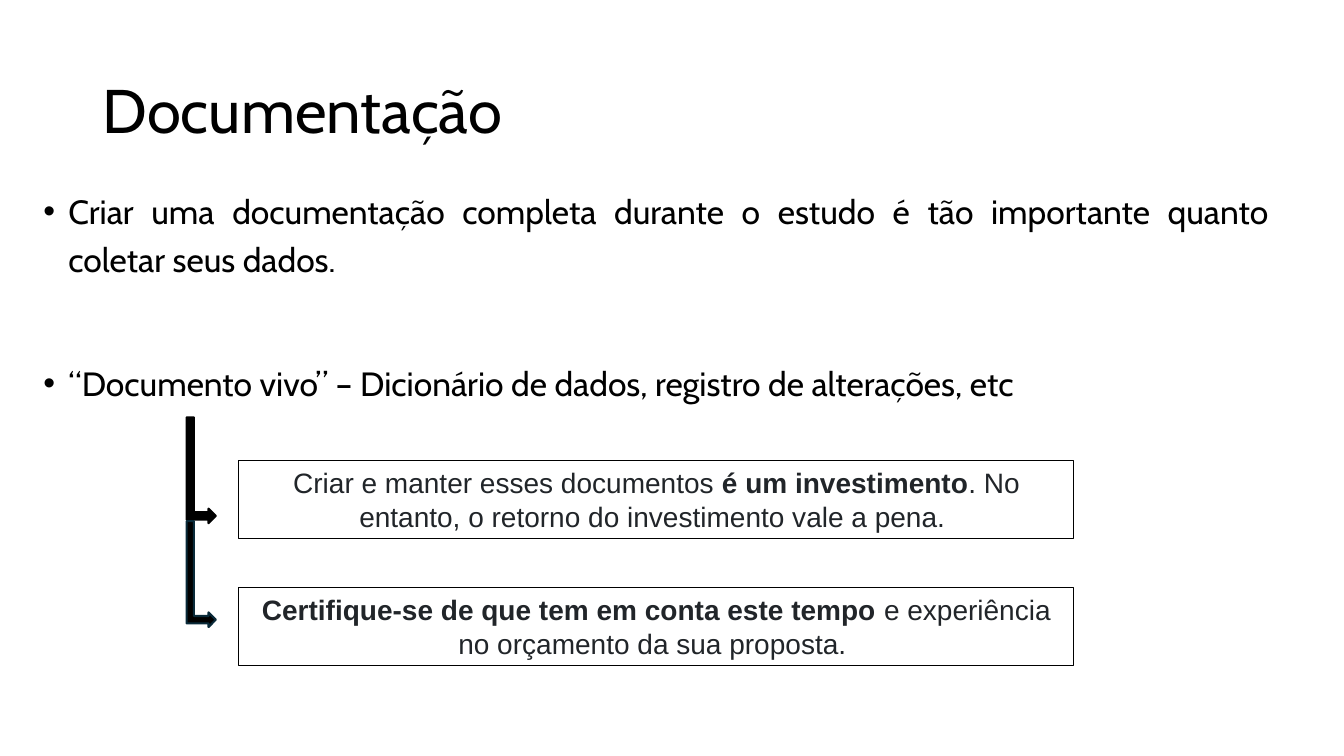
from dataclasses import dataclass
from lxml.etree import SubElement as Sub
from pptx import Presentation
from pptx.dml.color import RGBColor as Rgb
from pptx.enum.shapes import MSO_SHAPE as Kind
from pptx.enum.text import MSO_ANCHOR as Anchor, PP_ALIGN as Align
from pptx.oxml.ns import qn
from pptx.util import Inches, Pt


@dataclass(frozen=True)
class Theme:
    ink: str = "000000"
    soft: str = "212529"
    edge: str = "092A39"
    head: str = "Cabin"
    note: str = "Arial"
    big: int = 44
    mid: int = 24
    small: int = 20


LOOK = Theme()
WIDE, HIGH = Inches(13.333), Inches(7.5)
ARROW = (11.03, 60.27, 7.88, 3.87)
BOX = (17.78, 60.93, 62.12, 10.27)


def place(share):
    left, top, width, height = share
    return [round(n * size / 100) for n, size in
            ((left, WIDE), (top, HIGH), (width, WIDE), (height, HIGH))]


def down(share, step):
    left, top, width, height = share
    return left, top + step, width, height


def put(item, form):
    for name, value in form.items():
        setattr(item, name, value)


def write(para, runs, form, color, **style):
    put(para, style)
    for text, bold in runs:
        run = para.add_run()
        run.text = text
        put(run.font, form | {"bold": bold})
        run.font.color.rgb = Rgb.from_string(color)


def text(slide, share, anchor):
    frame = slide.shapes.add_textbox(*place(share)).text_frame
    put(frame, {"word_wrap": True, "vertical_anchor": anchor})
    return frame


def bullet(para):
    props = para._p.get_or_add_pPr()
    props.set("marL", str(Inches(0.25)))
    props.set("indent", str(Inches(-0.25)))
    Sub(props, qn("a:buFont")).set("typeface", "Arial")
    Sub(props, qn("a:buChar")).set("char", "•")


def title(slide, words):
    frame = text(slide, (6.9, 5.33, 86.27, 19.33), Anchor.MIDDLE)
    write(frame.paragraphs[0], [(words, False)],
          {"name": LOOK.head, "size": Pt(LOOK.big)}, LOOK.ink,
          line_spacing=0.9)


def points(slide, items):
    frame = text(slide, (2.48, 23.47, 92.65, 63.47), Anchor.TOP)
    for i, (words, gap) in enumerate(items):
        para = frame.add_paragraph() if i else frame.paragraphs[0]
        write(para, [(words, False)],
              {"name": LOOK.head, "size": Pt(LOOK.mid)}, LOOK.ink,
              alignment=Align.JUSTIFY, line_spacing=1.2, space_before=Pt(gap))
        bullet(para)


def shape(slide, kind, share, edge, weight):
    item = slide.shapes.add_shape(kind, *place(share))
    item.shadow.inherit = False
    item.line.color.rgb = Rgb.from_string(edge)
    item.line.width = Pt(weight)
    return item


def box(slide, share, runs):
    item = shape(slide, Kind.RECTANGLE, share, LOOK.ink, 0.75)
    item.fill.background()
    frame = item.text_frame
    put(frame, {"word_wrap": True, "vertical_anchor": Anchor.MIDDLE})
    write(frame.paragraphs[0], runs,
          {"name": LOOK.note, "size": Pt(LOOK.small)}, LOOK.soft,
          alignment=Align.CENTER)


def arrow(slide, share, edge):
    item = shape(slide, Kind.BENT_UP_ARROW, share, edge, 1.5)
    item.rotation = 90
    item.fill.solid()
    item.fill.fore_color.rgb = Rgb.from_string(LOOK.ink)


def main():
    deck = Presentation()
    put(deck, {"slide_width": WIDE, "slide_height": HIGH})
    slide = deck.slides.add_slide(deck.slide_layouts[6])
    title(slide, "Documentação")
    points(slide, [
        ("Criar uma documentação completa durante o estudo é tão importante "
         "quanto coletar seus dados. ", 10),
        ("“Documento vivo” – Dicionário de dados, registro de alterações, etc",
         54),
    ])
    notes = [
        [("Criar e manter esses documentos ", False),
         ("é um investimento", True),
         (". No entanto, o retorno do investimento vale a pena. ", False)],
        [("Certifique-se de que tem em conta este tempo ", True),
         ("e experiência no orçamento da sua proposta. ", False)],
    ]
    for i, runs in enumerate(notes):
        box(slide, down(BOX, i * 16.8), runs)
    for i, edge in enumerate((LOOK.ink, LOOK.edge)):
        arrow(slide, down(ARROW, i * 13.73), edge)
    deck.save("out.pptx")


if __name__ == "__main__":
    main()
